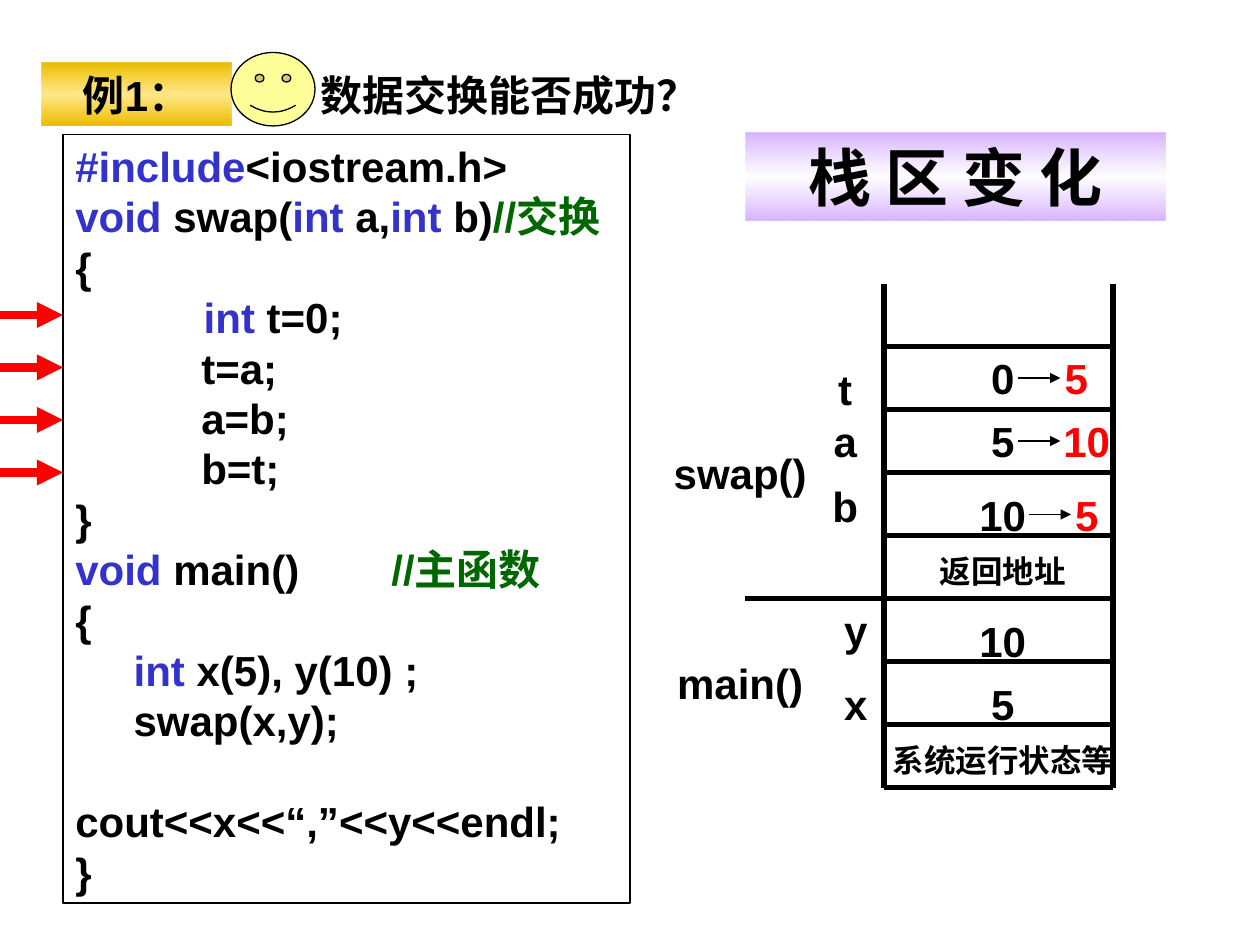
from lxml.etree import SubElement
from pptx import Presentation
from pptx.dml.color import RGBColor
from pptx.enum.shapes import MSO_CONNECTOR, MSO_SHAPE
from pptx.enum.text import MSO_ANCHOR, PP_ALIGN
from pptx.oxml import parse_xml
from pptx.oxml.ns import nsdecls, qn
from pptx.util import Pt

PX = 7620  # 120 px to the inch
COLORS = {
    "ink": "000000", "keyword": "3333CC", "comment": "006600", "red": "FF0000",
    "face": "FFFF99", "gold": "EABB00", "light gold": "FFCC00",
    "violet": "CC99FF", "white": "FFFFFF",
}


def rgb(name):
    return RGBColor.from_string(COLORS[name])


def emu(*lengths):
    return [length * PX for length in lengths]


def write_text(frame, text, size=24, color="ink", align=PP_ALIGN.CENTER,
               anchor=MSO_ANCHOR.TOP, tabs=()):
    """Write a string, or a list of lines made of (words, color) runs."""
    lines = [[(text, color)]] if isinstance(text, str) else text
    frame.word_wrap = True
    frame.vertical_anchor = anchor
    frame.margin_left, frame.margin_top = emu(12, 6)
    frame.margin_right, frame.margin_bottom = emu(12, 6)
    for index, line in enumerate(lines):
        paragraph = frame.paragraphs[0] if index == 0 else frame.add_paragraph()
        paragraph.alignment = align
        paragraph.space_before = Pt(0)
        if tabs:
            stops = SubElement(paragraph._p.get_or_add_pPr(), qn("a:tabLst"))
            for stop in tabs:
                SubElement(stops, qn("a:tab"), pos=str(stop * PX), algn="l")
        for words, run_color in line:
            run = paragraph.add_run()
            run.text = words
            run.font.name = "Arial"
            run.font.size = Pt(size)
            run.font.bold = True
            run.font.color.rgb = rgb(run_color)


class Board:
    def __init__(self, slide):
        self.slide = slide
        self.outline = Pt(0.75)

    def title(self, text, *box):
        heading = self.slide.shapes.title
        heading.left, heading.top, heading.width, heading.height = emu(*box)
        write_text(heading.text_frame, text, anchor=MSO_ANCHOR.MIDDLE)

    def label(self, text, *box, **style):
        frame = self.slide.shapes.add_textbox(*emu(*box)).text_frame
        write_text(frame, text, **style)

    def line(self, x1, y1, x2, y2, color="ink", width=3.25, arrow=False):
        connector = self.slide.shapes.add_connector(
            MSO_CONNECTOR.STRAIGHT, *emu(x1, y1, x2, y2))
        connector.line.color.rgb = rgb(color)
        connector.line.width = Pt(width)
        if arrow:
            SubElement(connector.line._get_or_add_ln(), qn("a:tailEnd"), type="triangle")
        SubElement(connector._element.spPr, qn("a:effectLst"))

    def shape(self, kind, *box, fill=None, outlined=True):
        shape = self.slide.shapes.add_shape(kind, *emu(*box))
        shape.shadow.inherit = False
        if fill:
            shape.fill.solid()
            shape.fill.fore_color.rgb = rgb(fill)
        else:
            shape.fill.background()
        if outlined:
            shape.line.color.rgb = rgb("ink")
            shape.line.width = self.outline
        else:
            shape.line.fill.background()
        return shape

    def banner(self, text, *box, edge, middle, size=24):
        """A borderless bar shaded from edge to middle and back; (color, opacity)."""
        bar = self.shape(MSO_SHAPE.RECTANGLE, *box, outlined=False)
        stops = "".join(
            f'<a:gs pos="{position}000"><a:srgbClr val="{COLORS[color]}">'
            f'<a:alpha val="{opacity}000"/></a:srgbClr></a:gs>'
            for position, (color, opacity) in ((0, edge), (50, middle), (100, edge)))
        gradient = parse_xml(f'<a:gradFill {nsdecls("a")}><a:gsLst>{stops}</a:gsLst>'
                             '<a:lin ang="5400000" scaled="0"/></a:gradFill>')
        properties = bar._element.spPr
        properties.replace(properties.find(qn("a:noFill")), gradient)
        write_text(bar.text_frame, text, size=size, anchor=MSO_ANCHOR.MIDDLE)

    def code(self, lines, *box, tabs):
        listing = self.shape(MSO_SHAPE.RECTANGLE, *box)
        write_text(listing.text_frame, lines, align=PP_ALIGN.LEFT, tabs=tabs)


def plain(words):
    return [(words, "ink")]


INT = ("int", "keyword")
VOID = ("void", "keyword")
SWAP_PROGRAM = [
    [("#include", "keyword"), ("<iostream.h>", "ink")],
    [VOID, (" swap(", "ink"), INT, (" a,", "ink"), INT, (" b)", "ink"),
     ("//交换", "comment")],
    plain("{"),
    [("           ", "ink"), INT, (" t=0;", "ink")],
    plain("\tt=a;"),
    plain("\ta=b;"),
    plain("\tb=t;"),
    plain("}"),
    [VOID, (" main()\t", "ink"), ("//主函数", "comment")],
    plain("{"),
    [("     ", "ink"), INT, (" x(5), y(10) ;", "ink")],
    plain("     swap(x,y);"),
    plain("     cout<<x<<“,”<<y<<endl;"),
    plain("}"),
]


def main():
    deck = Presentation()
    deck.slide_width, deck.slide_height = emu(1200, 900)
    board = Board(deck.slides.add_slide(deck.slide_layouts[5]))

    # Heading
    board.title("数据交换能否成功？", 290, 60, 390, 60)
    board.banner("例1：", 40, 60, 180, 60, edge=("gold", 100), middle=("light gold", 45))
    board.shape(MSO_SHAPE.SMILEY_FACE, 220, 50, 80, 70, fill="face")

    # Program, with an arrow for each step of swap()
    board.code(SWAP_PROGRAM, 60, 128, 540, 732, tabs=(120, 301))
    for step in range(4):
        y = 300 + 50 * step
        board.line(0, y, 60, y, color="red", width=5, arrow=True)

    # Stack frame
    board.banner("栈 区 变 化", 710, 126, 400, 84,
                 edge=("violet", 75), middle=("white", 65), size=36)
    left, right, top, bottom, row, frame_border = 842, 1060, 270, 750, 60, 570
    for side in (left, right):
        board.line(side, top, side, bottom)
    for y in range(top + row, bottom + 1, row):
        board.line(710 if y == frame_border else left, y, right, y)

    # Functions and their variables
    for function, y in (("swap()", 420), ("main()", 620)):
        board.label(function, 620, y, 170, 60)
    for variable, x, y in (("t", 740, 340), ("a", 740, 390), ("b", 740, 452),
                           ("y", 750, 570), ("x", 750, 640)):
        board.label(variable, x, y, 130, 60)

    # Stored values
    for value, y in (("0", 330), ("5", 390), ("10", 460), ("10", 580), ("5", 640)):
        board.label(value, 840, y, 230, 60)
    board.label("返回地址", 830, 520, 250, 48, size=18)
    board.label("系统运行状态等", 820, 700, 270, 48, size=18)

    # Values after the exchange
    for value, x, y, arrow_x in (("5", 910, 330, 970), ("10", 920, 390, 970),
                                 ("5", 920, 460, 980)):
        board.line(arrow_x, y + 30, arrow_x + 40, y + 30, width=0.75, arrow=True)
        board.label(value, x, y, 230, 60, color="red")

    deck.save("out.pptx")


if __name__ == "__main__":
    main()
